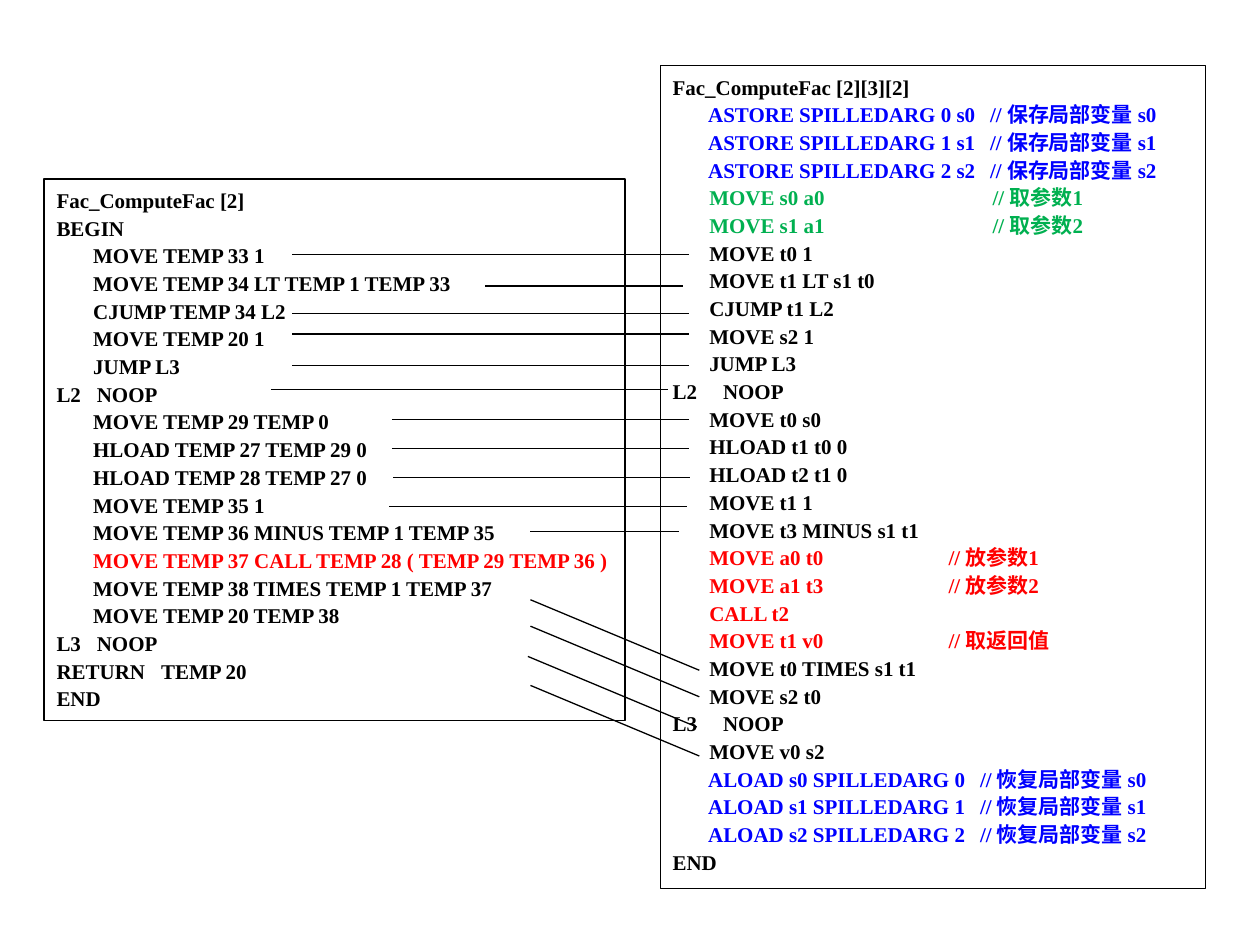
from lxml.etree import SubElement
from pptx import Presentation
from pptx.dml.color import RGBColor
from pptx.enum.shapes import MSO_CONNECTOR, MSO_SHAPE
from pptx.enum.text import MSO_ANCHOR, MSO_AUTO_SIZE, PP_ALIGN
from pptx.oxml.ns import qn
from pptx.util import Inches, Pt

BLACK, WHITE, RED, GREEN, BLUE = "000000", "FFFFFF", "FF0000", "00B050", "0000FF"

# Each block of code: colour, tab stop in inches (or None), lines
BEFORE = [
    (BLACK, None, """Fac_ComputeFac [2]
BEGIN
       MOVE TEMP 33 1
       MOVE TEMP 34 LT TEMP 1 TEMP 33
       CJUMP TEMP 34 L2
       MOVE TEMP 20 1
       JUMP L3"""),
    (BLACK, 0.32, "L2\tNOOP"),
    (BLACK, None, """       MOVE TEMP 29 TEMP 0
       HLOAD TEMP 27 TEMP 29 0
       HLOAD TEMP 28 TEMP 27 0
       MOVE TEMP 35 1
       MOVE TEMP 36 MINUS TEMP 1 TEMP 35"""),
    (RED, None, "       MOVE TEMP 37 CALL TEMP 28 ( TEMP 29 TEMP 36 )"),
    (BLACK, None, """       MOVE TEMP 38 TIMES TEMP 1 TEMP 37
       MOVE TEMP 20 TEMP 38"""),
    (BLACK, 0.32, "L3\tNOOP"),
    (BLACK, 0.83, "RETURN\tTEMP 20"),
    (BLACK, None, "END"),
]
AFTER = [
    (BLACK, None, "Fac_ComputeFac [2][3][2]"),
    (BLUE, 2.52, """       ASTORE SPILLEDARG 0 s0\t// 保存局部变量 s0
       ASTORE SPILLEDARG 1 s1\t// 保存局部变量 s1
       ASTORE SPILLEDARG 2 s2\t// 保存局部变量 s2"""),
    (GREEN, 2.54, """       MOVE s0 a0\t// 取参数1
       MOVE s1 a1\t// 取参数2"""),
    (BLACK, None, """       MOVE t0 1
       MOVE t1 LT s1 t0
       CJUMP t1 L2
       MOVE s2 1
       JUMP L3"""),
    (BLACK, 0.4, "L2\tNOOP"),
    (BLACK, None, """       MOVE t0 s0
       HLOAD t1 t0 0
       HLOAD t2 t1 0
       MOVE t1 1
       MOVE t3 MINUS s1 t1"""),
    (RED, 2.19, """       MOVE a0 t0\t// 放参数1
       MOVE a1 t3\t// 放参数2
       CALL t2
       MOVE t1 v0\t// 取返回值"""),
    (BLACK, None, """       MOVE t0 TIMES s1 t1
       MOVE s2 t0"""),
    (BLACK, 0.4, "L3\tNOOP"),
    (BLACK, None, "       MOVE v0 s2"),
    (BLUE, 2.44, """       ALOAD s0 SPILLEDARG 0\t// 恢复局部变量 s0
       ALOAD s1 SPILLEDARG 1\t// 恢复局部变量 s1
       ALOAD s2 SPILLEDARG 2\t// 恢复局部变量 s2"""),
    (BLACK, None, "END"),
]
# Level links: left end, right end, height
LEVEL_LINKS = [
    (2.32, 5.47, 2.02), (3.85, 5.42, 2.27), (2.32, 5.47, 2.49),
    (2.32, 5.47, 2.65), (2.32, 5.47, 2.9), (2.15, 5.3, 3.09),
    (3.11, 5.47, 3.33), (3.11, 5.47, 3.56), (3.12, 5.48, 3.79),
    (3.09, 5.45, 4.02), (4.21, 5.39, 4.22),
]
# Slanted links share one slope: left end, top
SLANTED_LINKS = [(4.21, 4.76), (4.21, 4.97), (4.21, 5.44), (4.19, 5.21)]
SLANT_W, SLANT_H = 1.34, 0.56


def rgb(value):
    return RGBColor.from_string(value)


class CodeSlide:
    font = {"name": "Times New Roman", "size": Pt(12), "bold": True}
    frame = {"word_wrap": True, "vertical_anchor": MSO_ANCHOR.TOP,
             "auto_size": MSO_AUTO_SIZE.SHAPE_TO_FIT_TEXT}
    paragraph = {"alignment": PP_ALIGN.LEFT, "line_spacing": 1.1}
    line_width = Pt(0.75)

    def __init__(self, prs):
        self.s = prs.slides.add_slide(prs.slide_layouts[6])

    def outline(self, line):
        line.color.rgb = rgb(BLACK)
        line.width = self.line_width

    def code_box(self, x, y, w, h, blocks):
        sp = self.s.shapes.add_shape(
            MSO_SHAPE.RECTANGLE, Inches(x), Inches(y), Inches(w), Inches(h))
        sp.shadow.inherit = False
        sp.fill.solid()
        sp.fill.fore_color.rgb = rgb(WHITE)
        self.outline(sp.line)
        tf = sp.text_frame
        for name, value in self.frame.items():
            setattr(tf, name, value)
        lines = [(color, tab, text) for color, tab, code in blocks
                 for text in code.split("\n")]
        for i, (color, tab, text) in enumerate(lines):
            p = tf.add_paragraph() if i else tf.paragraphs[0]
            self.code_line(p, color, tab, text)

    def code_line(self, p, color, tab, text):
        for name, value in self.paragraph.items():
            setattr(p, name, value)
        if tab and "\t" in text:
            tabs = SubElement(p._p.get_or_add_pPr(), qn("a:tabLst"))
            SubElement(tabs, qn("a:tab"), pos=str(Inches(tab)), algn="l")
        r = p.add_run()
        r.text = text
        for name, value in self.font.items():
            setattr(r.font, name, value)
        r.font.color.rgb = rgb(color)

    def link(self, x1, y1, x2, y2):
        line = self.s.shapes.add_connector(
            MSO_CONNECTOR.STRAIGHT, Inches(x1), Inches(y1), Inches(x2), Inches(y2))
        self.outline(line.line)
        SubElement(line._element.spPr, qn("a:effectLst"))


def main():
    prs = Presentation()
    prs.slide_width, prs.slide_height = Inches(10), Inches(7.5)
    slide = CodeSlide(prs)
    slide.code_box(0.35, 1.42, 4.61, 4.3, BEFORE)
    slide.code_box(5.24, 0.52, 4.33, 6.53, AFTER)
    for left, right, y in LEVEL_LINKS:
        slide.link(left, y, right, y)
    for x, y in SLANTED_LINKS:
        slide.link(x, y, x + SLANT_W, y + SLANT_H)
    prs.save("out.pptx")


if __name__ == "__main__":
    main()
